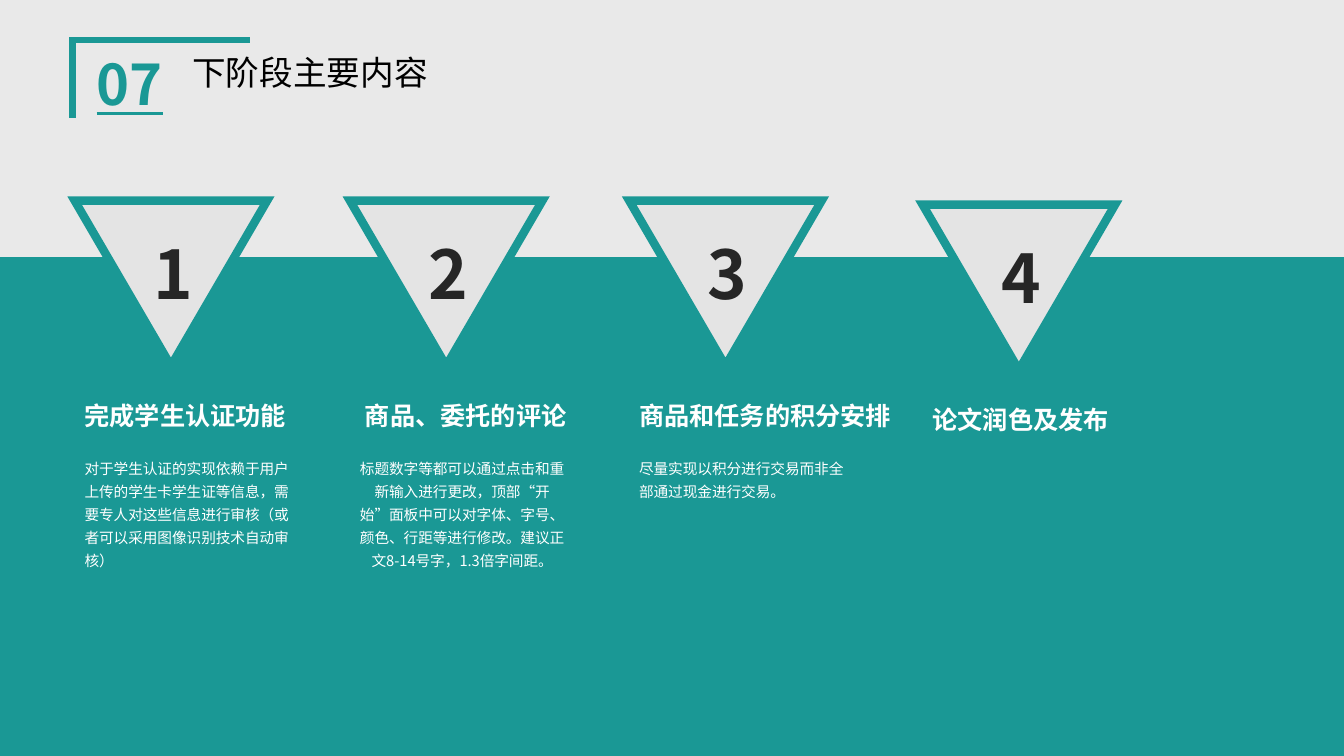
from dataclasses import dataclass
from lxml.etree import SubElement
from pptx import Presentation
from pptx.dml.color import RGBColor
from pptx.enum.shapes import MSO_SHAPE
from pptx.enum.text import PP_ALIGN
from pptx.oxml.ns import qn
from pptx.util import Inches, Pt


@dataclass(frozen=True)
class Theme:
    font: str = "Noto Sans CJK SC"
    teal: str = "1A9895"
    back: str = "E9E9E9"
    pale: str = "E4E4E4"
    dark: str = "262626"
    black: str = "000000"
    white: str = "FFFFFF"
    mark: float = 40
    head: float = 24
    digit: float = 48
    title: float = 18
    body: float = 10.5


theme = Theme()

STEPS = [
    (0.74, 1.99, 0, "完成学生认证功能",
     "对于学生认证的实现依赖于用户上传的学生卡学生证等信息，需要专人对这些信息进行审核（或者可以采用图像识别技术自动审核）",
     PP_ALIGN.LEFT),
    (3.47, 1.99, 0.05, "商品、委托的评论",
     "标题数字等都可以通过点击和重新输入进行更改，顶部“开始”面板中可以对字体、字号、颜色、行距等进行修改。建议正文8-14号字，1.3倍字间距。",
     PP_ALIGN.CENTER),
    (6.24, 1.99, 0, "商品和任务的积分安排",
     "尽量实现以积分进行交易而非全部通过现金进行交易。", PP_ALIGN.LEFT),
    (9.15, 2.03, 0, "论文润色及发布", "", PP_ALIGN.LEFT),
]


def color(code):
    return RGBColor.from_string(code)


def outline(shape, width):
    shape.shadow.inherit = False
    shape.line.color.rgb = color(theme.teal)
    shape.line.width = Pt(width)
    SubElement(shape.line._get_or_add_ln(), qn("a:miter"), lim="800000")


def add_text(slide, box, text, size, tint, bold=False, under=False,
             wrap=True, align=PP_ALIGN.LEFT, space=1.0):
    frame = slide.shapes.add_textbox(*map(Inches, box)).text_frame
    frame.word_wrap = wrap
    frame.text = text
    para = frame.paragraphs[0]
    para.alignment = align
    para.line_spacing = space
    run = para.runs[0]
    font = run.font
    font.name = theme.font
    font.size = Pt(size)
    font.bold = bold
    font.underline = under
    font.color.rgb = color(tint)
    SubElement(font._element, qn("a:ea"), typeface=theme.font)


def add_panel(slide, box):
    panel = slide.shapes.add_shape(MSO_SHAPE.RECTANGLE, *map(Inches, box))
    panel.shadow.inherit = False
    panel.fill.solid()
    panel.fill.fore_color.rgb = color(theme.teal)
    panel.line.fill.background()


def add_header(slide, left, top, width, height):
    path = slide.shapes.build_freeform(Inches(left), Inches(top + height))
    path.add_line_segments(
        [(Inches(left), Inches(top)), (Inches(left + width), Inches(top))],
        close=False)
    frame = path.convert_to_shape()
    frame.fill.background()
    outline(frame, 4.5)
    add_text(slide, (left + 0.14, top + 0.04, 0.95, 0.77), "07",
             theme.mark, theme.teal, bold=True, under=True)
    add_text(slide, (left + 1.09, top + 0.07, 2.7, 0.5), "下阶段主要内容",
             theme.head, theme.black)


def add_step(slide, left, top, number, shift, title, body, align):
    wedge = slide.shapes.add_shape(
        MSO_SHAPE.ISOSCELES_TRIANGLE,
        *map(Inches, (left, top, 1.91, 1.64)))
    wedge.rotation = 180
    wedge.fill.solid()
    wedge.fill.fore_color.rgb = color(theme.pale)
    outline(wedge, 6)
    add_text(slide, (left + 0.68, top + 0.27, 0.62, 0.91), str(number),
             theme.digit, theme.dark, bold=True, wrap=False)
    width = 0.2 + len(title) * theme.title / 72
    add_text(slide, (left + shift, top + 1.93, width, 0.4), title,
             theme.title, theme.white, bold=True, wrap=False)
    if body:
        add_text(slide, (left, top + 2.47, 2.23, 1.23), body,
                 theme.body, theme.white, align=align, space=1.3)


def main():
    deck = Presentation()
    deck.slide_width, deck.slide_height = Inches(13.33), Inches(7.5)
    slide = deck.slides.add_slide(deck.slide_layouts[6])
    slide.background.fill.solid()
    slide.background.fill.fore_color.rgb = color(theme.back)
    add_panel(slide, (0, 2.55, 13.33, 4.95))
    add_header(slide, 0.72, 0.4, 1.76, 0.77)
    for number, (left, top, *parts) in enumerate(STEPS, 1):
        add_step(slide, left, top, number, *parts)
    deck.save("out.pptx")


if __name__ == "__main__":
    main()
